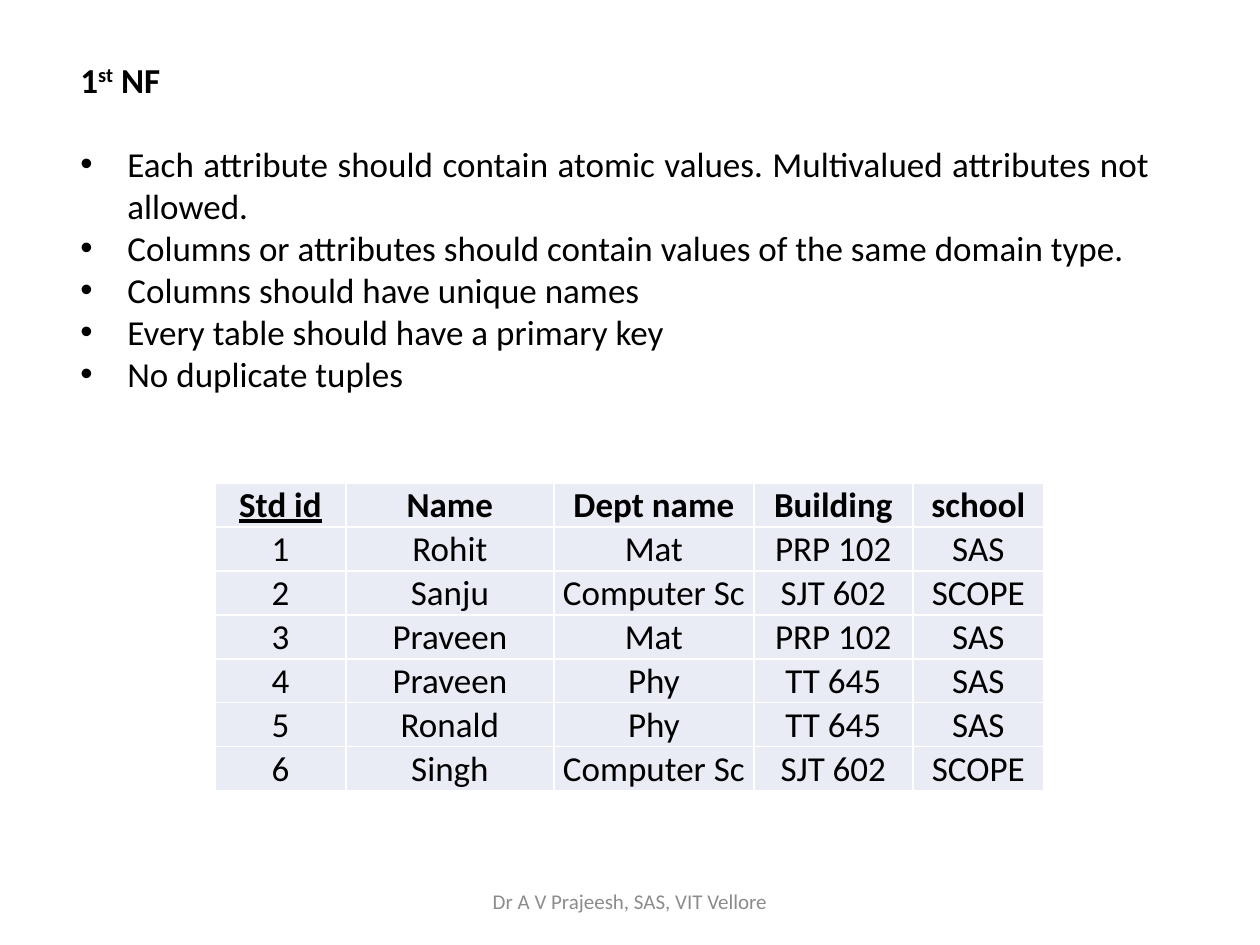
from typing import NamedTuple

from lxml.etree import SubElement
from pptx import Presentation
from pptx.dml.color import RGBColor
from pptx.enum.text import MSO_ANCHOR as Anchor, PP_ALIGN as Align
from pptx.oxml.ns import qn
from pptx.util import Pt

PX = 914400 // 126
FONT = "Calibri"
BLACK, GRAY, WHITE, CELL_FILL = "000000", "8C8C8C", "FFFFFF", "E9EBF5"


class Box(NamedTuple):
    left: int
    top: int
    width: int
    height: int


class Student(NamedTuple):
    std_id: str
    name: str
    dept: str
    building: str
    school: str


RULES_BOX = Box(68, 52, 1094, 437)
FOOTER_BOX = Box(417, 876, 426, 50)
TABLE_LEFT, TABLE_TOP, ROW_HEIGHT = 215, 483, 44
COLUMN_WIDTHS = (131, 208, 200, 159, 131)
BULLET_INDENT = 47

RULES = (
    "Each attribute should contain atomic values. Multivalued attributes not allowed.",
    "Columns or attributes should contain values of the same domain type. ",
    "Columns should have unique names",
    "Every table should have a primary key",
    "No duplicate tuples",
)
HEADER = Student("Std id", "Name", "Dept name", "Building", "school")
STUDENTS = (
    Student("1", "Rohit", "Mat", "PRP 102", "SAS"),
    Student("2", "Sanju", "Computer Sc", "SJT 602", "SCOPE"),
    Student("3", "Praveen", "Mat", "PRP 102", "SAS"),
    Student("4", "Praveen", "Phy", "TT 645", "SAS"),
    Student("5", "Ronald", "Phy", "TT 645", "SAS"),
    Student("6", "Singh", "Computer Sc", "SJT 602", "SCOPE"),
)


def px(length: int) -> int:
    return length * PX


def color(hex_value: str) -> RGBColor:
    return RGBColor.from_string(hex_value)


def style_runs(paragraph, size: int, hex_value: str, bold: bool = False) -> None:
    for run in paragraph.runs:
        run.font.name = FONT
        run.font.size = Pt(size)
        run.font.bold = bold
        run.font.color.rgb = color(hex_value)


def add_text_frame(slide, box: Box):
    frame = slide.shapes.add_textbox(*map(px, box)).text_frame
    frame.word_wrap = True
    return frame


def add_bullet(paragraph) -> None:
    properties = paragraph._p.get_or_add_pPr()
    properties.set("marL", str(px(BULLET_INDENT)))
    properties.set("indent", str(-px(BULLET_INDENT)))
    SubElement(properties, qn("a:buFont"), typeface="Arial")
    SubElement(properties, qn("a:buChar"), char="•")


def add_rules(slide) -> None:
    frame = add_text_frame(slide, RULES_BOX)
    heading = frame.paragraphs[0]
    for part in ("1", "st", " NF"):
        heading.add_run().text = part
    style_runs(heading, 20, BLACK, bold=True)
    heading.runs[1]._r.get_or_add_rPr().set("baseline", "30000")

    for index, rule in enumerate(RULES):
        paragraph = frame.add_paragraph()
        paragraph.text = rule
        add_bullet(paragraph)
        paragraph.alignment = Align.JUSTIFY
        paragraph.space_before = Pt(0 if index else 24)
        style_runs(paragraph, 20, BLACK)


def add_borders(cell) -> None:
    properties = cell._tc.get_or_add_tcPr()
    for side in ("lnL", "lnR", "lnT", "lnB"):
        line = SubElement(properties, qn(f"a:{side}"), w=str(Pt(1)))
        fill = SubElement(line, qn("a:solidFill"))
        SubElement(fill, qn("a:srgbClr"), val=WHITE)


def fill_cell(cell, text: str, bold: bool) -> None:
    add_borders(cell)
    cell.fill.solid()
    cell.fill.fore_color.rgb = color(CELL_FILL)
    cell.margin_left = cell.margin_right = cell.margin_top = px(1)
    cell.margin_bottom = 0
    cell.vertical_anchor = Anchor.BOTTOM
    cell.text_frame.text = text
    paragraph = cell.text_frame.paragraphs[0]
    paragraph.alignment = Align.CENTER
    style_runs(paragraph, 20, BLACK, bold)


def add_student_table(slide) -> None:
    records = (HEADER, *STUDENTS)
    box = Box(TABLE_LEFT, TABLE_TOP, sum(COLUMN_WIDTHS), ROW_HEIGHT * len(records))
    table = slide.shapes.add_table(
        len(records), len(COLUMN_WIDTHS), *map(px, box)
    ).table
    for column, width in zip(table.columns, COLUMN_WIDTHS):
        column.width = px(width)
    for row, record in zip(table.rows, records):
        row.height = px(ROW_HEIGHT)
        for cell, text in zip(row.cells, record):
            fill_cell(cell, text, bold=record is HEADER)
    primary_key = table.cell(0, 0).text_frame.paragraphs[0].runs[0]
    primary_key.font.underline = True


def add_footer(slide) -> None:
    frame = add_text_frame(slide, FOOTER_BOX)
    frame.vertical_anchor = Anchor.MIDDLE
    frame.text = "Dr A V Prajeesh, SAS, VIT Vellore"
    credit = frame.paragraphs[0]
    credit.alignment = Align.CENTER
    style_runs(credit, 12, GRAY)


def main() -> None:
    deck = Presentation()
    deck.slide_width, deck.slide_height = px(1260), px(945)
    slide = deck.slides.add_slide(deck.slide_layouts[6])
    add_rules(slide)
    add_footer(slide)
    add_student_table(slide)
    deck.save("out.pptx")


if __name__ == "__main__":
    main()
